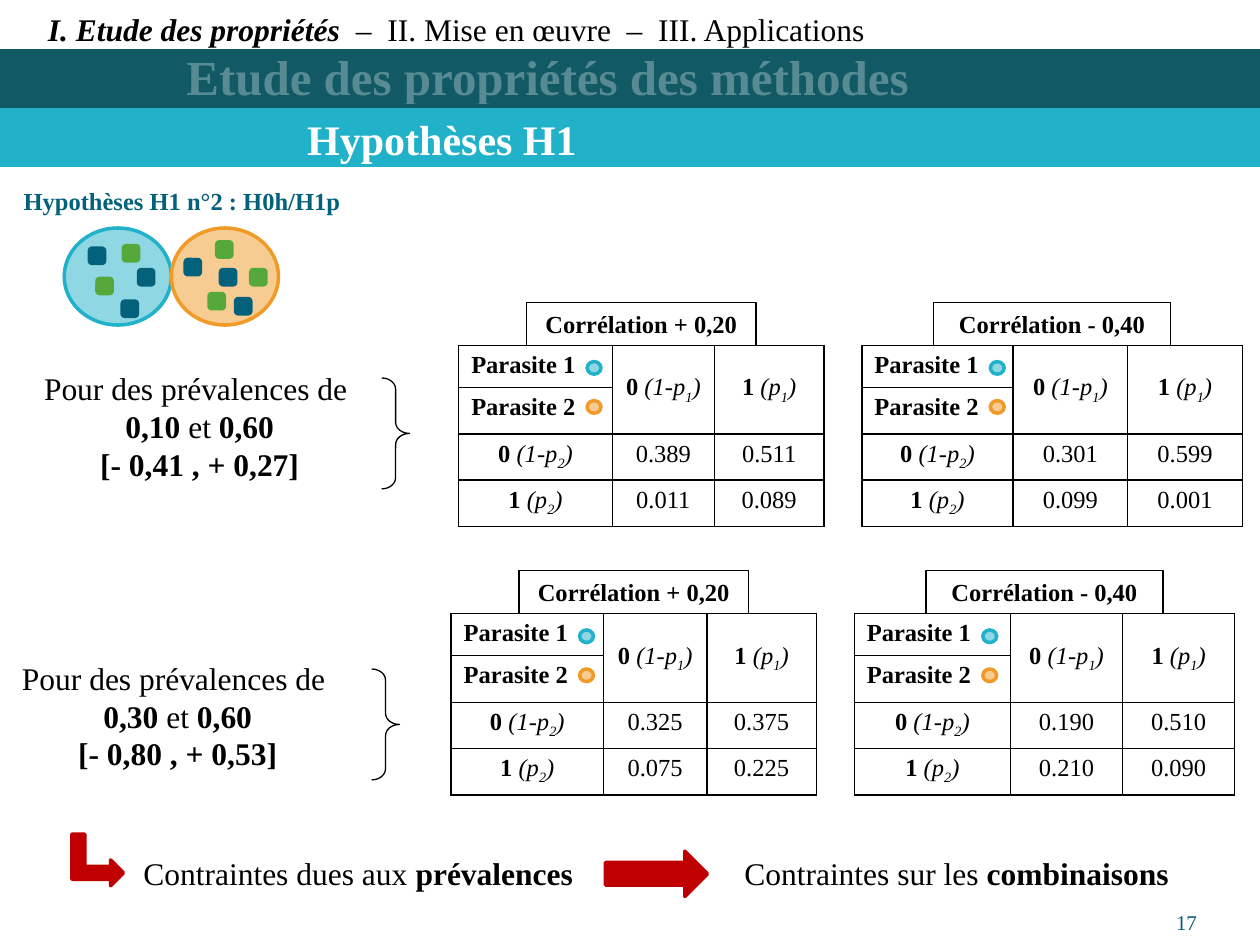
from lxml import etree
from pptx import Presentation
from pptx import util as u
from pptx.dml import color as colors
from pptx.enum import shapes, text
from pptx.oxml import ns

TEAL, CYAN, NAVY = "115964", "21B2C9", "04617B"
ORANGE, GREEN, RED = "F09A28", "55A839", "C00000"
BLACK, WHITE = "000000", "FFFFFF"
KIND = shapes.MSO_SHAPE
ALIGN = text.PP_ALIGN
ANCHOR = text.MSO_ANCHOR
INSETS = (0.1, 0.05, 0.1, 0.05)


def rgb(value):
    return colors.RGBColor.from_string(value)


class SlideBuilder:
    font = "Times New Roman"

    def __init__(self, slide):
        self.slide = slide

    def add_text(self, frame, paragraphs, size, color=BLACK, align=ALIGN.LEFT):
        for index, runs in enumerate(paragraphs):
            paragraph = frame.paragraphs[0] if index == 0 else frame.add_paragraph()
            paragraph.alignment = align
            for content, style in runs:
                run = paragraph.add_run()
                run.text = content
                font = run.font
                font.name, font.size = self.font, u.Pt(size)
                font.color.rgb = rgb(color)
                font.bold, font.italic = "b" in style, "i" in style
                if "s" in style:
                    font._element.set("baseline", "-25000")

    def label(self, box, paragraphs, size, color=BLACK, align=ALIGN.LEFT,
              wrap=True, anchor=ANCHOR.TOP, insets=INSETS):
        shape = self.slide.shapes.add_textbox(*map(u.Inches, box))
        frame = shape.text_frame
        frame.word_wrap, frame.vertical_anchor = wrap, anchor
        (frame.margin_left, frame.margin_top,
         frame.margin_right, frame.margin_bottom) = map(u.Inches, insets)
        self.add_text(frame, paragraphs, size, color, align)
        return frame

    def shape(self, kind, box, fill=None, line=None, width=2, opacity=100, rotation=0):
        shape = self.slide.shapes.add_shape(kind, *map(u.Inches, box))
        shape.shadow.inherit = False
        shape.rotation = rotation
        if fill:
            shape.fill.solid()
            shape.fill.fore_color.rgb = rgb(fill)
            if opacity < 100:
                tint = shape.fill._xPr.find(".//" + ns.qn("a:srgbClr"))
                etree.SubElement(tint, ns.qn("a:alpha")).set("val", str(opacity * 1000))
        else:
            shape.fill.background()
        shape.line.color.rgb = rgb(line or fill)
        shape.line.width = u.Pt(width)
        return shape

    def brace(self, left, top):
        brace = self.shape(KIND.LEFT_BRACE, (left, top, 0.22, 0.88), line=BLACK, width=0.75)
        brace.adjustments[0] = 0.4
        brace._element.spPr.xfrm.set("flipH", "1")

    def caption(self, box, content):
        frame = self.shape(KIND.RECTANGLE, box, line=BLACK, width=0.75).text_frame
        frame.word_wrap, frame.vertical_anchor = True, ANCHOR.TOP
        self.add_text(frame, [[(content, "b")]], 14, align=ALIGN.CENTER)

    def border(self, cell):
        properties = cell._tc.get_or_add_tcPr()
        for index, side in enumerate(("lnL", "lnR", "lnT", "lnB")):
            line = etree.Element(ns.qn("a:" + side), w=str(u.Pt(1)))
            fill = etree.SubElement(line, ns.qn("a:solidFill"))
            etree.SubElement(fill, ns.qn("a:srgbClr"), val=BLACK)
            properties.insert(index, line)

    def table(self, left, top, widths, heights, rows):
        frame = self.slide.shapes.add_table(
            len(rows), len(widths), u.Inches(left), u.Inches(top),
            u.Inches(sum(widths)), u.Inches(sum(heights)))
        table = frame.table
        table.first_row = table.horz_banding = False
        for column, width in zip(table.columns, widths):
            column.width = u.Inches(width)
        for row, height in zip(table.rows, heights):
            row.height = u.Inches(height)
        for column in (1, 2):
            table.cell(0, column).merge(table.cell(1, column))
        for i, row in enumerate(rows):
            for j, runs in enumerate(row):
                cell = table.cell(i, j)
                cell.fill.background()
                self.border(cell)
                if cell.is_merge_origin:
                    cell.vertical_anchor = ANCHOR.MIDDLE
                align = ALIGN.LEFT if i < 2 and j == 0 else ALIGN.CENTER
                if runs:
                    self.add_text(cell.text_frame, [runs], 14, align=align)

    def correlation(self, left, top, widths, title, title_box, values):
        def level(digit, formula, index):
            return [(digit + " ", "b"), (formula, "i"), (index, "is"), (")", "i")]

        rows = [
            [[("Parasite 1", "b")], level("0", "(1-p", "1"), level("1", "(p", "1")],
            [[("Parasite 2", "b")], [], []],
            [level("0", "(1-p", "2")] + [[(value, "")] for value in values[:2]],
            [level("1", "(p", "2")] + [[(value, "")] for value in values[2:]],
        ]
        self.table(left, top, widths, (0.33, 0.37, 0.36, 0.37), rows)
        for color, offset in ((CYAN, 0.13), (ORANGE, 0.44)):
            self.shape(KIND.OVAL, (left + 1.02, top + offset, 0.11, 0.1), color, opacity=50)
        shift, width = title_box
        self.caption((left + shift, top - 0.34, width, 0.34), title)


def main():
    presentation = Presentation()
    presentation.slide_width, presentation.slide_height = u.Inches(10), u.Inches(7.5)
    builder = SlideBuilder(presentation.slides.add_slide(presentation.slide_layouts[6]))

    band = (0, 0.4, 10, 0.44)
    builder.shape(KIND.RECTANGLE, band, TEAL)
    builder.label((8.67, 7.02, 0.83, 0.4), [[("17", "")]], 12, "045C75",
                  ALIGN.RIGHT, anchor=ANCHOR.BOTTOM, insets=(0, 0, 0, 0))
    builder.shape(KIND.RECTANGLE, (0, 0.87, 10, 0.44), CYAN)
    builder.label((2.34, 0.85, 7.66, 0.51), [[("Hypothèses H1", "b")]], 24, WHITE)
    builder.label((1.48, 0.46, 7.36, 0.38), [[("Etude des propriétés des méthodes", "b")]],
                  28, WHITE, anchor=ANCHOR.BOTTOM, insets=(0, 0.05, 0, 0))
    builder.label((0.08, 1.43, 2.73, 0.34), [[("Hypothèses H1 n°2 : H0h/H1p", "b")]],
                  14, NAVY, ALIGN.CENTER, wrap=False)

    for left, color in ((0.51, CYAN), (1.36, ORANGE)):
        builder.shape(KIND.OVAL, (left, 1.81, 0.85, 0.77), color, opacity=50)
    parasites = {
        NAVY: [(0.71, 1.97), (1.1, 2.14), (0.97, 2.39), (1.47, 2.06), (1.87, 2.37), (1.75, 2.14)],
        GREEN: [(0.98, 1.95), (0.77, 2.21), (1.72, 1.92), (1.99, 2.14), (1.66, 2.33)],
    }
    for color, places in parasites.items():
        for left, top in places:
            builder.shape(KIND.ROUNDED_RECTANGLE, (left, top, 0.12, 0.12), color)

    builder.shape(KIND.RECTANGLE, band, TEAL, opacity=70)
    outline = builder.label(
        (-0.02, -0.12, 10.01, 0.52),
        [[("I. Etude des propriétés  ", "bi"), ("–  II. Mise en œuvre  –  III. Applications", "")]],
        18, insets=(0.4, 0.05, 0.1, 0.05))
    outline.paragraphs[0].line_spacing = 1.5

    for left, width, start, ending in ((5.81, 3.6, "Contraintes sur les ", "combinaisons"),
                                       (1.04, 3.71, "Contraintes dues aux ", "prévalences")):
        builder.label((left, 6.73, width, 0.4), [[(start, ""), (ending, "b")]], 18, wrap=False)
    builder.shape(KIND.BENT_UP_ARROW, (0.57, 6.62, 0.41, 0.41), RED, rotation=90)
    builder.shape(KIND.DOWN_ARROW, (5.03, 6.53, 0.36, 0.81), RED, rotation=270)

    scenarios = [
        ("0,10 ", "[- 0,41 , + 0,27]", (2.88, 3.17), (3.03, 3), 2.74,
         (3.64, (1.22, 0.81, 0.87), ("0.389", "0.511", "0.011", "0.089")),
         (6.84, (1.2, 0.91, 0.91), ("0.301", "0.599", "0.099", "0.001"))),
        ("0,30 ", "[- 0,80 , + 0,53]", (5.18, 2.82), (2.95, 5.31), 4.87,
         (3.58, (1.21, 0.82, 0.87), ("0.325", "0.375", "0.075", "0.225")),
         (6.78, (1.24, 0.89, 0.89), ("0.190", "0.510", "0.210", "0.090"))),
    ]
    titles = (("Corrélation + 0,20", (0.54, 1.82)), ("Corrélation - 0,40", (0.57, 1.88)))
    for prevalence, bounds, (label_top, label_width), brace, table_top, *tables in scenarios:
        builder.label((0, label_top, label_width, 1.01),
                      [[("Pour des prévalences de ", "")],
                       [(prevalence, "b"), ("et", ""), (" 0,60", "b")],
                       [(bounds, "b")]], 18, align=ALIGN.CENTER)
        builder.brace(*brace)
        for (left, widths, values), (title, title_box) in zip(tables, titles):
            builder.correlation(left, table_top, widths, title, title_box, values)

    presentation.save("out.pptx")


if __name__ == "__main__":
    main()
